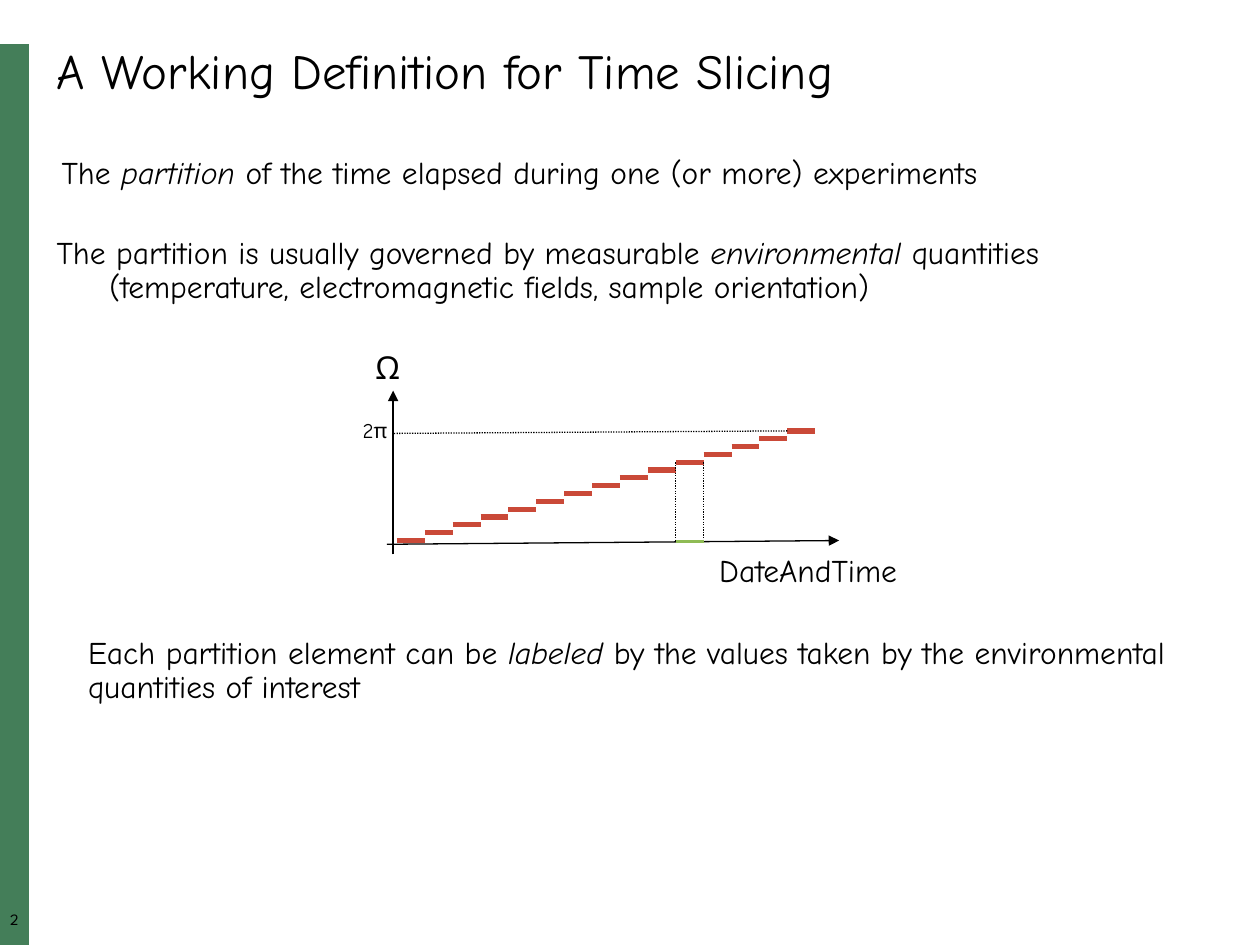
from lxml import etree
from pptx import Presentation
from pptx.dml.color import RGBColor
from pptx.enum.dml import MSO_LINE_DASH_STYLE
from pptx.enum.shapes import MSO_CONNECTOR, MSO_SHAPE
from pptx.enum.text import MSO_ANCHOR, MSO_AUTO_SIZE, PP_ALIGN
from pptx.oxml.ns import qn
from pptx.util import Inches, Pt

STRAIGHT = MSO_CONNECTOR.STRAIGHT
RECTANGLE = MSO_SHAPE.RECTANGLE
DOTTED = MSO_LINE_DASH_STYLE.ROUND_DOT
NO_AUTOFIT = MSO_AUTO_SIZE.NONE
TOP, MIDDLE = MSO_ANCHOR.TOP, MSO_ANCHOR.MIDDLE
LEFT, CENTER = PP_ALIGN.LEFT, PP_ALIGN.CENTER

BLACK = RGBColor(0x00, 0x00, 0x00)
BAND_GREEN = RGBColor(0x44, 0x7E, 0x59)
STEP_RED = RGBColor(0xCA, 0x49, 0x38)
SLICE_GREEN = RGBColor(0x8F, 0xBB, 0x55)

BODY_FONT, NUMBER_FONT = "Comic Neue", "League Spartan"
SLIDE_WIDTH, SLIDE_HEIGHT = 10, 7.5
BAND_WIDTH, BAND_TOP = 0.23, 0.35
TEXT_WIDTH = 9.22

STEP_COUNT, SLICE_INDEX = 15, 10
STEPS_LEFT, STEPS_RIGHT = 3.15, 6.47
STEPS_BOTTOM, STEPS_TOP = 4.29, 3.42
STEP_WIDTH = (STEPS_RIGHT - STEPS_LEFT) / STEP_COUNT
STEP_RISE = (STEPS_BOTTOM - STEPS_TOP) / (STEP_COUNT - 1)
AXIS_X = 3.12


def write_text(shape, paragraphs, size=18, font=BODY_FONT, spacing=0.9,
               align=LEFT, anchor=TOP, indents=()):
    """Fill a shape with paragraphs whose odd-numbered runs are italic."""
    frame = shape.text_frame
    frame_format = {"word_wrap": True, "auto_size": NO_AUTOFIT, "vertical_anchor": anchor}
    for name, value in frame_format.items():
        setattr(frame, name, value)
    for number, runs in enumerate(paragraphs):
        paragraph = frame.add_paragraph() if number else frame.paragraphs[0]
        paragraph.alignment = align
        paragraph.line_spacing = spacing
        if number < len(indents):
            paragraph._p.get_or_add_pPr().set("marL", str(Inches(indents[number])))
        for position, text in enumerate(runs):
            run = paragraph.add_run()
            run.text = text
            run_format = {"name": font, "size": Pt(size), "italic": position % 2 == 1}
            for name, value in run_format.items():
                setattr(run.font, name, value)
            run.font.color.rgb = BLACK


def add_text(slide, box, paragraphs, **text_format):
    """Add a text box at left, top, width and height in inches."""
    shape = slide.shapes.add_textbox(*map(Inches, box))
    write_text(shape, paragraphs, **text_format)
    return shape


def add_line(slide, start, end, color=BLACK, width=0.75, dash=None, arrow=False):
    """Add a straight line, dotted or with an arrowhead if asked."""
    line = slide.shapes.add_connector(STRAIGHT, *map(Inches, (*start, *end)))
    line.line.color.rgb = color
    line.line.width = Pt(width)
    if dash:
        line.line.dash_style = dash
    if arrow:
        etree.SubElement(line.line._get_or_add_ln(), qn("a:tailEnd"), type="triangle")
    etree.SubElement(line._element.spPr, qn("a:effectLst"))


def add_side_band(slide):
    """Add the green band on the left with the slide number."""
    box = (0, BAND_TOP, BAND_WIDTH, SLIDE_HEIGHT - BAND_TOP)
    band = slide.shapes.add_shape(RECTANGLE, *map(Inches, box))
    band.shadow.inherit = False
    band.fill.solid()
    band.fill.fore_color.rgb = BAND_GREEN
    band.line.fill.background()
    number = add_text(slide, (0, 7.24, BAND_WIDTH, 0.17), [["2"]],
                      size=9, font=NUMBER_FONT, align=CENTER)
    for side in ("left", "top", "right", "bottom"):
        setattr(number.text_frame, f"margin_{side}", 0)


def add_title(slide, text):
    """Place and format the title placeholder."""
    title = slide.shapes.title
    place = {"left": 0.35, "top": 0.3, "width": 9.37, "height": 0.55}
    for name, value in place.items():
        setattr(title, name, Inches(value))
    write_text(title, [[text]], size=28, spacing=0.95, anchor=MIDDLE)


def add_statements(slide):
    """Add the three statements that define time slicing."""
    add_text(slide, (0.39, 1.2, TEXT_WIDTH, 0.37), [
        ["The ", "partition", " of the time elapsed during one (or more) experiments"]])
    add_text(slide, (0.35, 1.83, TEXT_WIDTH, 0.65), [
        ["The partition is usually governed by measurable ", "environmental", " quantities"],
        ["(temperature, electromagnetic fields, sample orientation)"]], indents=(0, 0.42))
    add_text(slide, (0.6, 5.01, TEXT_WIDTH, 0.65), [
        ["Each partition element can be ", "labeled",
         " by the values taken by the environmental quantities of interest"]])


def add_step_diagram(slide):
    """Draw the axes, the rising steps and the highlighted time slice."""
    add_line(slide, (3.07, 4.32), (6.66, 4.29), arrow=True)
    add_line(slide, (AXIS_X, 4.4), (AXIS_X, 3.1), arrow=True)
    for index in range(STEP_COUNT):
        left = STEPS_LEFT + index * STEP_WIDTH
        level = STEPS_BOTTOM - index * STEP_RISE
        add_line(slide, (left, level), (left + STEP_WIDTH, level), STEP_RED, 3)

    add_text(slide, (5.61, 4.32, 2.21, 0.51), [["DateAndTime"]], spacing=1.0)
    add_text(slide, (2.88, 2.75, 0.39, 0.37), [["Ω"]])
    add_line(slide, (STEPS_RIGHT - STEP_WIDTH, STEPS_TOP), (AXIS_X, 3.44), dash=DOTTED)
    add_text(slide, (2.78, 3.29, 0.42, 0.28), [["2π"]], size=12)

    slice_left = STEPS_LEFT + SLICE_INDEX * STEP_WIDTH
    slice_right = slice_left + STEP_WIDTH
    slice_level = STEPS_BOTTOM - SLICE_INDEX * STEP_RISE
    for edge in (slice_left, slice_right):
        add_line(slide, (edge, slice_level), (edge, STEPS_BOTTOM), dash=DOTTED)
    add_line(slide, (slice_left, 4.3), (slice_right, 4.3), SLICE_GREEN, 1.5)


def main():
    """Build the slide and save it."""
    presentation = Presentation()
    presentation.slide_width = Inches(SLIDE_WIDTH)
    presentation.slide_height = Inches(SLIDE_HEIGHT)
    slide = presentation.slides.add_slide(presentation.slide_layouts[5])
    add_side_band(slide)
    add_title(slide, "A Working Definition for Time Slicing")
    add_statements(slide)
    add_step_diagram(slide)
    presentation.save("out.pptx")


if __name__ == "__main__":
    main()
